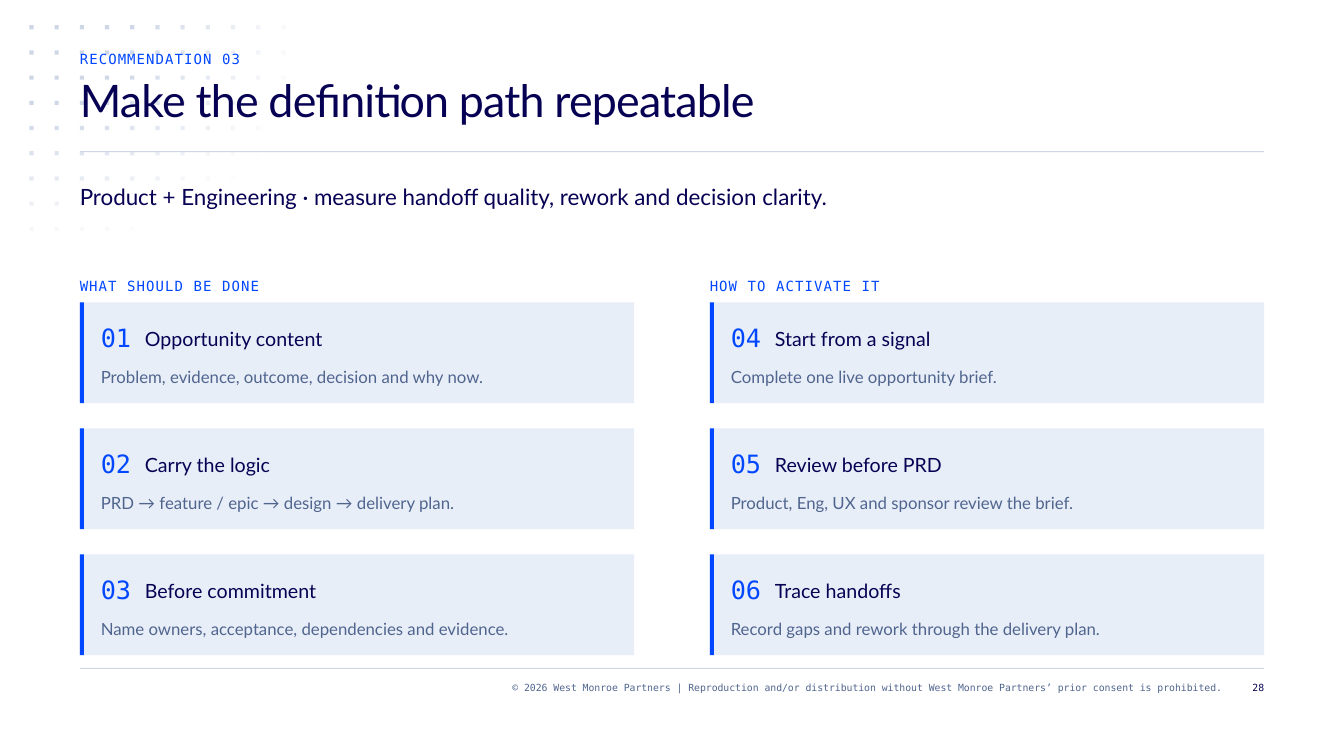
from math import hypot

from lxml import etree
from pptx import Presentation
from pptx.dml.color import RGBColor
from pptx.enum.shapes import MSO_SHAPE
from pptx.enum.text import MSO_ANCHOR, MSO_AUTO_SIZE, PP_ALIGN as ALIGN
from pptx.oxml.ns import qn
from pptx.util import Emu, Pt

PX = 9525
NAVY = RGBColor(0x07, 0x01, 0x54)
BLUE = RGBColor(0x00, 0x47, 0xFF)
SLATE = RGBColor(0x50, 0x65, 0x8E)
MIST = RGBColor(0xCE, 0xD7, 0xE6)
PALE = RGBColor(0xE8, 0xEE, 0xF8)
SANS, MONO = "Lato", "DejaVu Sans Mono"

LEFT, WIDTH = 76, 1128
CARD_W, CARD_H = 528, 96
CARD_TOP, CARD_STEP, COLUMN_STEP = 288, 120, 600

COLUMNS = [
    ("WHAT SHOULD BE DONE", [
        ("Opportunity content", "Problem, evidence, outcome, decision and why now."),
        ("Carry the logic", "PRD → feature / epic → design → delivery plan."),
        ("Before commitment", "Name owners, acceptance, dependencies and evidence."),
    ]),
    ("HOW TO ACTIVATE IT", [
        ("Start from a signal", "Complete one live opportunity brief."),
        ("Review before PRD", "Product, Eng, UX and sponsor review the brief."),
        ("Trace handoffs", "Record gaps and rework through the delivery plan."),
    ]),
]
COPYRIGHT = ("© 2026 West Monroe Partners | Reproduction and/or distribution without "
             "West Monroe Partners’ prior consent is prohibited.")


def px(*lengths):
    return [Emu(n * PX) for n in lengths]


def add_rect(shapes, x, y, w, h, color, opacity=100):
    sp = shapes.add_shape(MSO_SHAPE.RECTANGLE, *px(x, y, w, h))
    sp.shadow.inherit = False
    sp.fill.solid()
    sp.fill.fore_color.rgb = color
    sp.line.fill.background()
    if opacity < 100:
        clr = sp.fill._xPr.find(".//" + qn("a:srgbClr"))
        etree.SubElement(clr, qn("a:alpha")).set("val", str(opacity * 1000))


def write(sp, text, size, leading, color, font=SANS, align=ALIGN.LEFT, tracking=0):
    """Fill a shape with one line of text; tracking is in hundredths of a point."""
    tf = sp.text_frame
    tf.text = text
    tf.word_wrap = True
    tf.auto_size = MSO_AUTO_SIZE.NONE
    tf.vertical_anchor = MSO_ANCHOR.TOP
    tf.margin_left = tf.margin_right = tf.margin_top = tf.margin_bottom = 0
    p = tf.paragraphs[0]
    p.alignment = align
    p.line_spacing = Pt(leading)
    p.space_before = Pt(0)
    r = p.runs[0]
    r.font.name = font
    r.font.size = Pt(size)
    r.font.color.rgb = color
    if tracking:
        r.font._element.set("spc", str(tracking))


def add_text(shapes, x, y, w, h, text, *style, **options):
    write(shapes.add_textbox(*px(x, y, w, h)), text, *style, **options)


def add_label(shapes, x, y, w, text):
    add_text(shapes, x, y, w, 16, text, 10, 12, BLUE, font=MONO, tracking=80)


def add_dots(shapes):
    """Dot grid that fades out along an ellipse around its top left dot."""
    for col in range(11):
        for row in range(9):
            opacity = int(153 * (1 - hypot(col / 11.1, row / 9.08)))
            if opacity >= 2:
                add_rect(shapes, 28 + 24 * col, 24 + 24 * row, 4, 4, MIST, min(opacity, 100))


def add_title(slide, text):
    title = slide.shapes.title
    title.left, title.top, title.width, title.height = px(LEFT, 72, WIDTH, 72)
    write(title, text, 32, 36, NAVY, tracking=-60)
    slide.shapes._spTree.append(title._element)  # in front of the dots


def add_card(slide, x, y, number, heading, body):
    shapes = slide.shapes.add_group_shape().shapes
    add_rect(shapes, x, y, CARD_W, CARD_H, PALE)
    add_rect(shapes, x, y, 4, CARD_H, BLUE)
    add_text(shapes, x + 20, y + 16, 30, 32, f"{number:02}", 18, 24, BLUE, font=MONO)
    add_text(shapes, x + 62, y + 18, 450, 28, heading, 14, 21, NAVY)
    add_text(shapes, x + 20, y + 56, 492, 24, body, 12, 18, SLATE)


def add_footer(shapes, page):
    add_rect(shapes, LEFT, 636, WIDTH, 1, MIST)
    for x, w, text, color in [(228, 936, COPYRIGHT, SLATE), (1172, 32, page, NAVY)]:
        add_text(shapes, x, 648, w, 24, text, 7, 9, color, font=MONO, align=ALIGN.RIGHT)


def main():
    prs = Presentation()
    prs.slide_width, prs.slide_height = px(1280, 720)
    slide = prs.slides.add_slide(prs.slide_layouts[5])
    shapes = slide.shapes

    add_dots(shapes)
    add_rect(shapes, LEFT, 144, WIDTH, 1, MIST)
    add_label(shapes, LEFT, 48, WIDTH, "RECOMMENDATION 03")
    add_title(slide, "Make the definition path repeatable")
    add_text(shapes, LEFT, 168, WIDTH, 32,
             "Product + Engineering · measure handoff quality, rework and decision clarity.",
             16, 24, NAVY)

    number = 1
    for col, (label, cards) in enumerate(COLUMNS):
        x = LEFT + col * COLUMN_STEP
        add_label(shapes, x, 264, CARD_W, label)
        for row, (heading, body) in enumerate(cards):
            add_card(slide, x, CARD_TOP + row * CARD_STEP, number, heading, body)
            number += 1

    add_footer(shapes, "28")
    prs.save("out.pptx")


if __name__ == "__main__":
    main()
